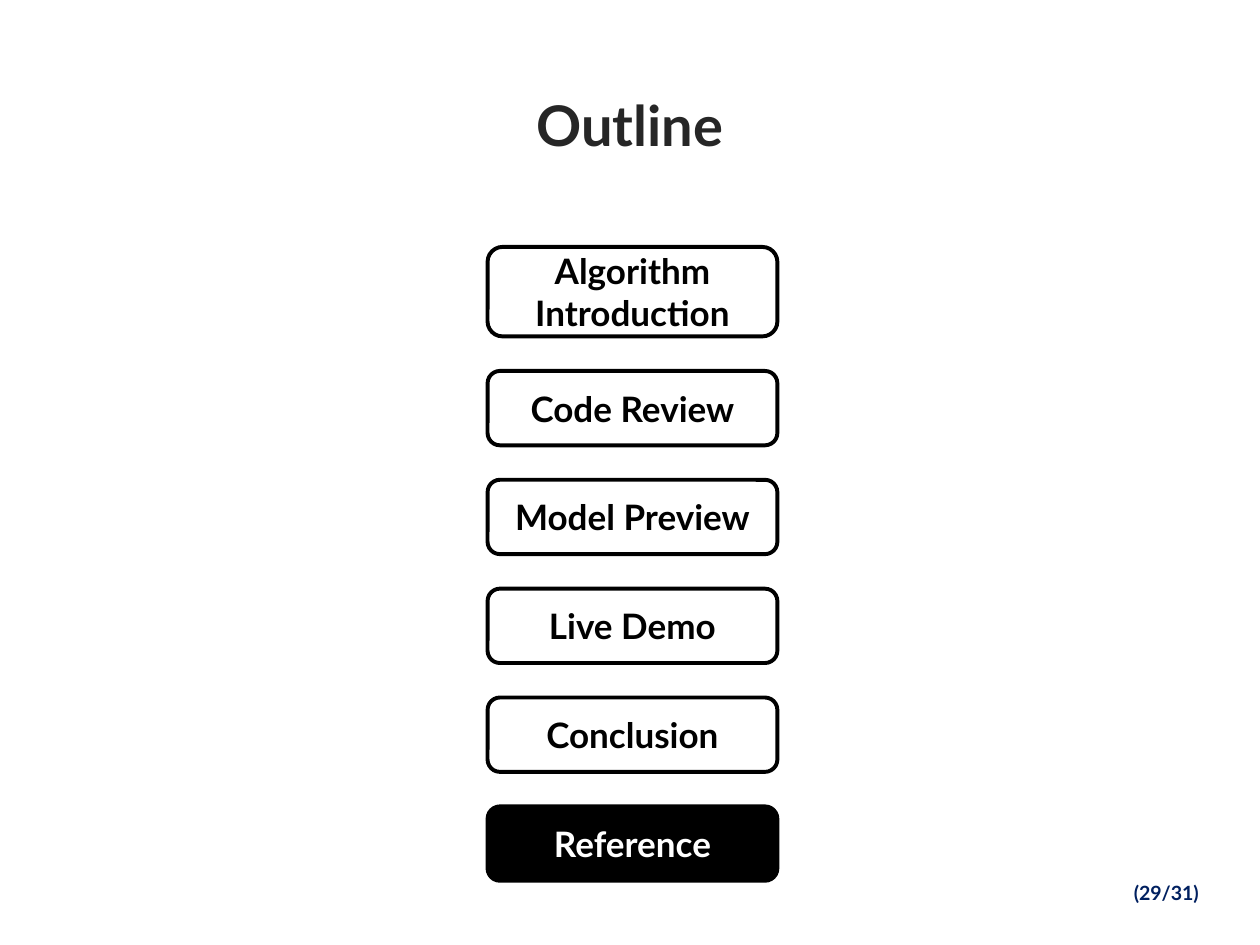
from pptx import Presentation
from pptx.dml.color import RGBColor
from pptx.enum.shapes import MSO_SHAPE
from pptx.enum.text import MSO_ANCHOR, PP_ALIGN
from pptx.util import Inches, Pt

ROUND = MSO_SHAPE.ROUNDED_RECTANGLE
MIDDLE, TOP = MSO_ANCHOR.MIDDLE, MSO_ANCHOR.TOP
CENTER, LEFT = PP_ALIGN.CENTER, PP_ALIGN.LEFT
BLACK, WHITE = "000000", "FFFFFF"
TOPICS = [
    ("Algorithm Introduction", 0.71),
    ("Code Review", 0.59),
    ("Model Preview", 0.59),
    ("Live Demo", 0.59),
    ("Conclusion", 0.59),
    ("Reference", 0.59),
]
ACTIVE = "Reference"


def color(code):
    return RGBColor.from_string(code)


def write(shape, text, size=20, ink=BLACK, align=CENTER, anchor=MIDDLE):
    frame = shape.text_frame
    frame.word_wrap = True
    frame.vertical_anchor = anchor
    para = frame.paragraphs[0]
    para.alignment = align
    run = para.add_run()
    run.text = text
    font = run.font
    font.name, font.size, font.bold = "Lato", Pt(size), True
    font.color.rgb = color(ink)


def add_title(slide, box, text):
    title = slide.shapes.title
    title.left, title.top, title.width, title.height = map(Inches, box)
    write(title, text, size=32, ink="262626")


def add_topic(slide, box, text, active):
    shape = slide.shapes.add_shape(ROUND, *map(Inches, box))
    shape.shadow.inherit = False
    shape.fill.solid()
    shape.fill.fore_color.rgb = color(BLACK if active else WHITE)
    shape.line.color.rgb = color(BLACK)
    shape.line.width = Pt(2.25)
    frame = shape.text_frame
    frame.margin_left = frame.margin_right = Inches(0.07)
    frame.margin_top = frame.margin_bottom = Inches(0.04)
    write(shape, text, ink=WHITE if active else BLACK)


def add_outline(slide, box, topics):
    left, top, width, height = box
    gap = (height - sum(tall for _, tall in topics)) / (len(topics) - 1)
    for text, tall in topics:
        add_topic(slide, (left, top, width, tall), text, text == ACTIVE)
        top += tall + gap


def add_page(slide, box, text):
    shape = slide.shapes.add_textbox(*map(Inches, box))
    write(shape, text, size=11.2, ink="002060", align=LEFT, anchor=TOP)


def main():
    deck = Presentation()
    deck.slide_width, deck.slide_height = Inches(10), Inches(7.5)
    slide = deck.slides.add_slide(deck.slide_layouts[5])
    add_page(slide, (8.9, 6.94, 0.9, 0.29), "(29/31)")
    add_title(slide, (0.57, 0.36, 8.86, 1.25), "Outline")
    add_outline(slide, (3.87, 1.96, 2.3, 5.03), TOPICS)
    deck.save("out.pptx")


if __name__ == "__main__":
    main()
